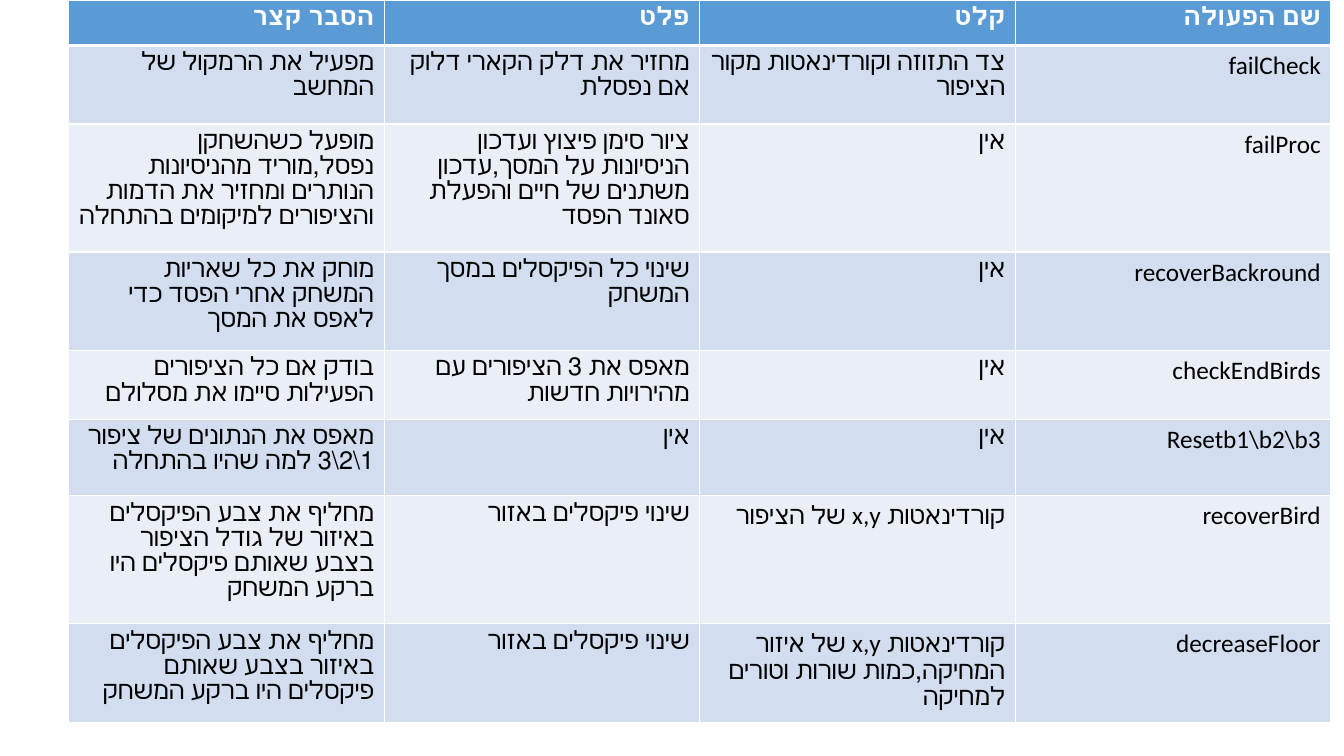
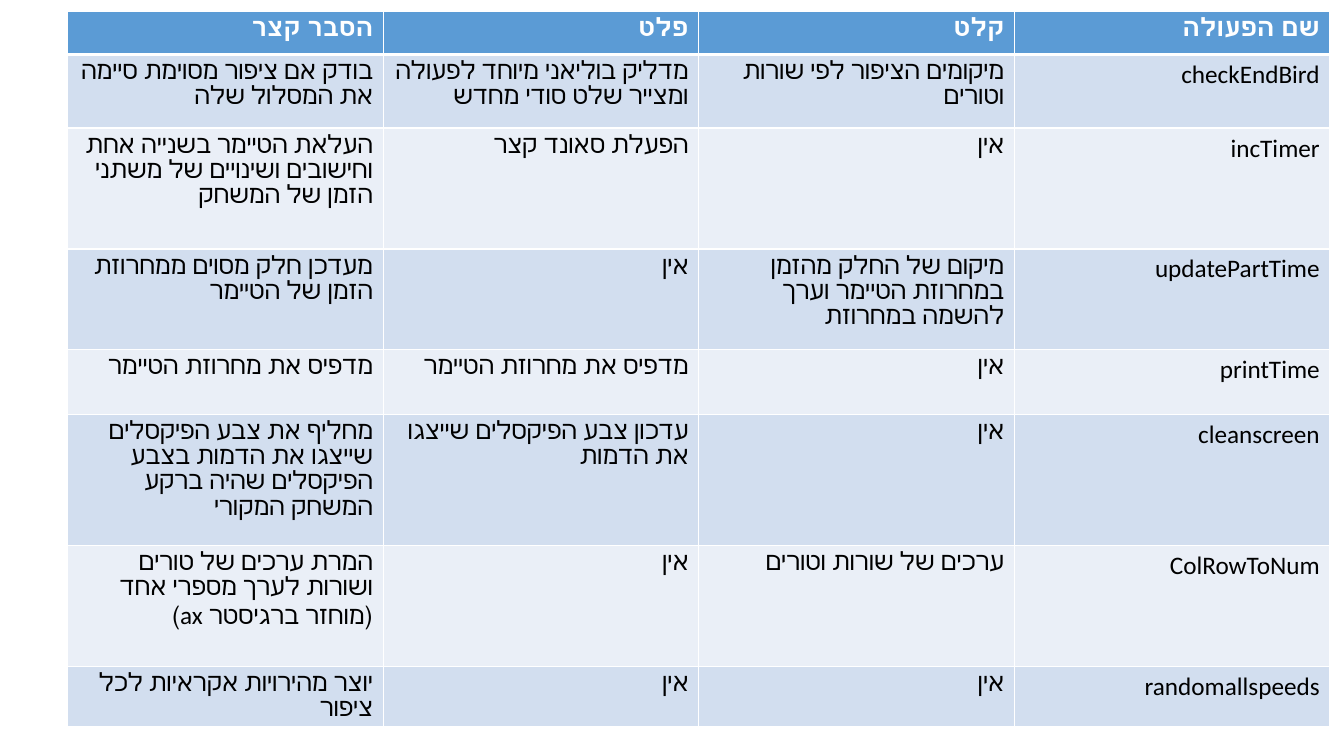
from dataclasses import dataclass

import lxml.etree
import pptx
import pptx.dml.color
import pptx.enum.text
import pptx.oxml.ns
import pptx.presentation
import pptx.table
import pptx.util

PX = 9144  # EMU per px, 100 px to the inch


@dataclass(frozen=True)
class Theme:
    font: str = "Calibri"
    size: int = 18
    head: str = "5B9BD5"
    bands: tuple[str, str] = ("D2DEEF", "EAEFF7")
    ink: str = "000000"
    white: str = "FFFFFF"
    thin: int = 1
    thick: int = 3


@dataclass(frozen=True)
class Row:
    height: int
    brief: str
    output: str
    input: str
    name: str

    def texts(self) -> tuple[str, ...]:
        return self.brief, self.output, self.input, self.name


@dataclass(frozen=True)
class Page:
    left: int
    top: int
    head: int
    rows: tuple[Row, ...]


THEME = Theme()
WIDTH, HEIGHT = 1333, 750
COLUMN = 313
NONE = "אין"
HEADS = ("הסבר קצר", "פלט ", "קלט", "שם הפעולה")

PAGES = (
    Page(68, 0, 45, (
        Row(78, "מפעיל את הרמקול של המחשב",
            "מחזיר את דלק הקארי דלוק אם נפסלת",
            "צד התזוזה וקורדינאטות מקור הציפור", "failCheck"),
        Row(127, "מופעל כשהשחקן נפסל,מוריד מהניסיונות הנותרים "
            "ומחזיר את הדמות והציפורים למיקומים בהתחלה",
            "ציור סימן פיצוץ ועדכון הניסיונות על המסך,עדכון "
            "משתנים של חיים והפעלת סאונד הפסד", NONE, "failProc"),
        Row(98, "מוחק את כל שאריות המשחק אחרי הפסד כדי לאפס את המסך",
            "שינוי כל הפיקסלים במסך המשחק", NONE, "recoverBackround"),
        Row(68, "בודק אם כל הציפורים הפעילות סיימו את מסלולם",
            "מאפס את 3 הציפורים עם מהירויות חדשות", NONE, "checkEndBirds"),
        Row(76, r"מאפס את הנתונים של ציפור 1\2\3 למה שהיו בהתחלה",
            NONE, NONE, r"Resetb1\b2\b3"),
        Row(127, "מחליף את צבע הפיקסלים באיזור של גודל הציפור "
            "בצבע שאותם פיקסלים היו ברקע המשחק",
            "שינוי פיקסלים באזור", "קורדינאטות x,y של הציפור", "recoverBird"),
        Row(98, "מחליף את צבע הפיקסלים באיזור בצבע שאותם פיקסלים היו ברקע המשחק",
            "שינוי פיקסלים באזור",
            "קורדינאטות x,y של איזור המחיקה,כמות שורות וטורים למחיקה",
            "decreaseFloor"),
    )),
    Page(67, 11, 43, (
        Row(73, "בודק אם ציפור מסוימת סיימה את המסלול שלה",
            "מדליק בוליאני מיוחד לפעולה ומצייר שלט סודי מחדש",
            "מיקומים הציפור לפי שורות וטורים", "checkEndBird"),
        Row(120, "העלאת הטיימר בשנייה אחת וחישובים ושינויים של "
            "משתני הזמן של המשחק", "הפעלת סאונד קצר", NONE, "incTimer"),
        Row(100, "מעדכן חלק מסוים ממחרוזת הזמן של הטיימר", NONE,
            "מיקום של החלק מהזמן במחרוזת הטיימר וערך להשמה במחרוזת",
            "updatePartTime"),
        Row(64, "מדפיס את מחרוזת הטיימר", "מדפיס את מחרוזת הטיימר",
            NONE, "printTime"),
        Row(130, "מחליף את צבע הפיקסלים שייצגו את הדמות בצבע "
            "הפיקסלים שהיה ברקע המשחק המקורי",
            "עדכון צבע הפיקסלים שייצגו את הדמות", NONE, "cleanscreen"),
        Row(120, "המרת ערכים של טורים ושורות לערך מספרי אחד\n(מוחזר ברגיסטר ax)",
            NONE, "ערכים של שורות וטורים", "ColRowToNum"),
        Row(49, "יוצר מהירויות אקראיות לכל ציפור", NONE, NONE, "randomallspeeds"),
    )),
)


def color(code: str) -> pptx.dml.color.RGBColor:
    return pptx.dml.color.RGBColor.from_string(code)


def edge(cell: pptx.table._Cell, index: int) -> None:
    """Rule the four sides in white, thick under the header row."""
    widths = {"L": THEME.thin, "R": THEME.thin,
              "T": THEME.thick if index == 1 else THEME.thin,
              "B": THEME.thick if index == 0 else THEME.thin}
    qn = pptx.oxml.ns.qn
    props = cell._tc.get_or_add_tcPr()
    for place, (side, width) in enumerate(widths.items()):
        line = lxml.etree.Element(qn(f"a:ln{side}"), w=str(pptx.util.Pt(width)))
        fill = lxml.etree.SubElement(line, qn("a:solidFill"))
        lxml.etree.SubElement(fill, qn("a:srgbClr"), val=THEME.white)
        props.insert(place, line)


def write(cell: pptx.table._Cell, text: str, index: int) -> None:
    """Fill one cell; row 0 is the header."""
    head = index == 0
    cell.fill.solid()
    cell.fill.fore_color.rgb = color(THEME.head if head else THEME.bands[(index - 1) % 2])
    edge(cell, index)
    cell.text_frame.text = text
    for para in cell.text_frame.paragraphs:
        para.alignment = pptx.enum.text.PP_ALIGN.RIGHT
        para._p.get_or_add_pPr().set("rtl", "1")
        for run in para.runs:
            run.font.name = THEME.font
            run.font.size = pptx.util.Pt(THEME.size)
            run.font.bold = head
            run.font.color.rgb = color(THEME.white if head else THEME.ink)


def draw(deck: pptx.presentation.Presentation, page: Page) -> None:
    slide = deck.slides.add_slide(deck.slide_layouts[6])
    rows = (Row(page.head, *HEADS), *page.rows)
    frame = slide.shapes.add_table(
        len(rows), len(HEADS), page.left * PX, page.top * PX,
        COLUMN * len(HEADS) * PX, sum(row.height for row in rows) * PX)
    table = frame.table
    for column in table.columns:
        column.width = COLUMN * PX
    for index, row in enumerate(rows):
        table.rows[index].height = row.height * PX
        for cell, text in zip(table.rows[index].cells, row.texts()):
            write(cell, text, index)


def main() -> None:
    deck = pptx.Presentation()
    deck.slide_width, deck.slide_height = WIDTH * PX, HEIGHT * PX
    for page in PAGES:
        draw(deck, page)
    deck.save("out.pptx")


if __name__ == "__main__":
    main()
